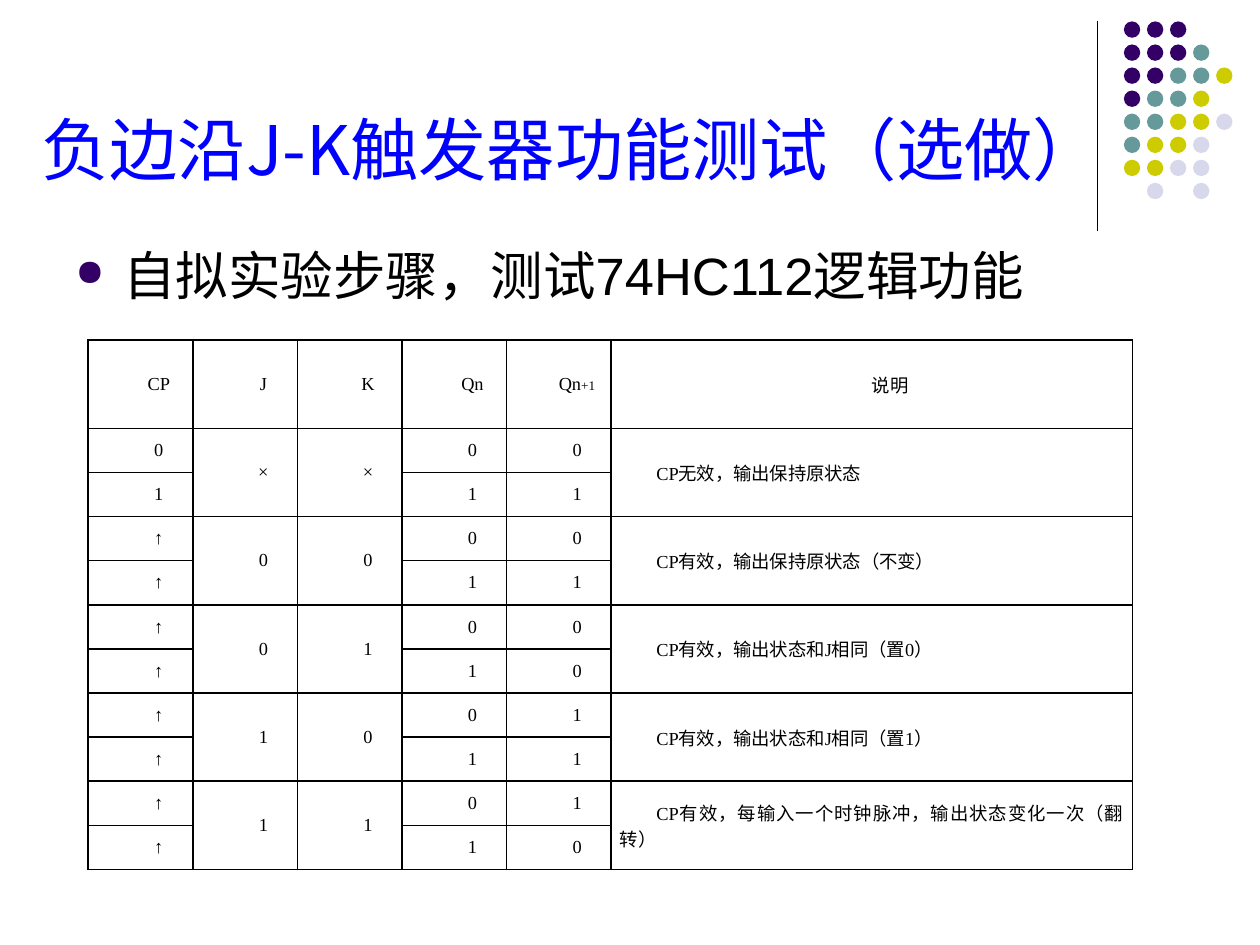
from lxml import etree
from pptx import Presentation
from pptx import util as u
from pptx.dml import color
from pptx.enum import shapes, text
from pptx.oxml import ns

SANS = "Noto Sans CJK SC"
MID = text.MSO_ANCHOR.MIDDLE
ALIGN = text.PP_ALIGN
DOTS = ["PPP", "PPPT", "PPTTY", "PTTY", "TTYYL", "TYYL", "YYLL", " L L"]
TINTS = {"P": "330066", "T": "669999", "Y": "CCCC00", "L": "D8D8EC"}
HEADS = ["CP", "J", "K", "Qn", "Qn", "说明"]
GROUPS = [
    ("01", "×", "×", "01", "CP无效，输出保持原状态"),
    ("↑↑", "0", "0", "01", "CP有效，输出保持原状态（不变）"),
    ("↑↑", "0", "1", "00", "CP有效，输出状态和J相同（置0）"),
    ("↑↑", "1", "0", "11", "CP有效，输出状态和J相同（置1）"),
    ("↑↑", "1", "1", "10", "CP有效，每输入一个时钟脉冲，输出状态变化一次（翻转）"),
]


def rgb(code):
    return color.RGBColor.from_string(code)


def apply(obj, vals):
    for name, val in vals.items():
        setattr(obj, name, val)


def node(up, tag, **vals):
    return etree.SubElement(up, ns.qn("a:" + tag), vals)


def add_run(para, words, size, font, tint="000000"):
    run = para.add_run()
    run.text = words
    apply(run.font, {"size": u.Pt(size), "name": font})
    run.font.color.rgb = rgb(tint)
    node(run.font._element, "ea", typeface=SANS)


def set_indent(para, left, first):
    props = para._p.get_or_add_pPr()
    props.set("marL", str(u.Inches(left)))
    props.set("indent", str(u.Inches(first)))
    return props


def add_text(slide, spot, words, size, font, tint, anchor):
    frame = slide.shapes.add_textbox(*map(u.Inches, spot)).text_frame
    apply(frame, {"word_wrap": True, "vertical_anchor": anchor})
    para = frame.paragraphs[0]
    add_run(para, words, size, font, tint)
    return para


def add_bullet(para):
    para.space_before = u.Pt(6)
    props = set_indent(para, 0.38, -0.38)
    node(node(props, "buClr"), "srgbClr", val="330066")
    node(props, "buSzPct", val="70000")
    node(props, "buChar", char="●")


def add_rule(slide):
    ends = map(u.Inches, (8.71, 0.17, 8.71, 1.83))
    rule = slide.shapes.add_connector(shapes.MSO_CONNECTOR.STRAIGHT, *ends)
    rule.line.width = u.Pt(0.75)
    rule.line.color.rgb = rgb("000000")
    node(rule._element.spPr, "effectLst")


def add_dots(slide):
    for row, line in enumerate(DOTS):
        for col, key in enumerate(line):
            if key == " ":
                continue
            spot = (8.92 + col * 0.183, 0.17 + row * 0.183, 0.13, 0.13)
            dot = slide.shapes.add_shape(shapes.MSO_SHAPE.OVAL, *map(u.Inches, spot))
            dot.shadow.inherit = False
            dot.fill.solid()
            dot.fill.fore_color.rgb = rgb(TINTS[key])
            dot.line.fill.background()


def style_cell(cell):
    side = u.Inches(0.07)
    apply(cell, {"margin_left": side, "margin_right": side, "margin_top": 0,
                 "margin_bottom": 0, "vertical_anchor": MID})
    cell.fill.background()
    props = cell._tc.get_or_add_tcPr()
    for pos, edge in enumerate(("lnL", "lnR", "lnT", "lnB")):
        line = etree.Element(ns.qn("a:" + edge), w=str(u.Pt(1)))
        node(node(line, "solidFill"), "srgbClr", val="000000")
        props.insert(pos, line)


def fill_cell(cell, words, align=ALIGN.CENTER, small=""):
    para = cell.text_frame.paragraphs[0]
    para.alignment = align
    set_indent(para, 0, 0.29)
    add_run(para, words, 10.5, "Times New Roman")
    if small:
        add_run(para, small, 7.5, "Times New Roman")


def add_grid(slide):
    spot = map(u.Inches, (0.7, 2.7, 8.28, 4.18))
    grid = slide.shapes.add_table(11, 6, *spot).table
    apply(grid, {"first_row": False, "horz_banding": False})
    for pos, col in enumerate(grid.columns):
        col.width = u.Inches(4.14 if pos == 5 else 0.83)
    for pos, row in enumerate(grid.rows):
        row.height = u.Inches(0.35 if pos else 0.7)
    for cell in grid.iter_cells():
        style_cell(cell)
    for col, head in enumerate(HEADS):
        fill_cell(grid.cell(0, col), head, small="+1" if col == 4 else "")
    for pos, (clock, j, k, after, note) in enumerate(GROUPS):
        top = 1 + 2 * pos
        for step in range(2):
            for col, vals in ((0, clock), (3, "01"), (4, after)):
                fill_cell(grid.cell(top + step, col), vals[step])
        for col, words in ((1, j), (2, k), (5, note)):
            cell = grid.cell(top, col)
            cell.merge(grid.cell(top + 1, col))
            fill_cell(cell, words, ALIGN.JUSTIFY if col == 5 else ALIGN.CENTER)


def main():
    deck = Presentation()
    apply(deck, {"slide_width": u.Inches(10), "slide_height": u.Inches(7.5)})
    slide = deck.slides.add_slide(deck.slide_layouts[6])
    add_rule(slide)
    add_dots(slide)
    add_text(slide, (0.23, 0.13, 8.75, 1.42), "负边沿J-K触发器功能测试（选做）",
             39, SANS, "0000FF", text.MSO_ANCHOR.BOTTOM)
    add_bullet(add_text(slide, (0.5, 1.88, 9, 0.7), "自拟实验步骤，测试74HC112逻辑功能",
                        30, "Arial", "000000", text.MSO_ANCHOR.TOP))
    add_grid(slide)
    deck.save("out.pptx")


main()
